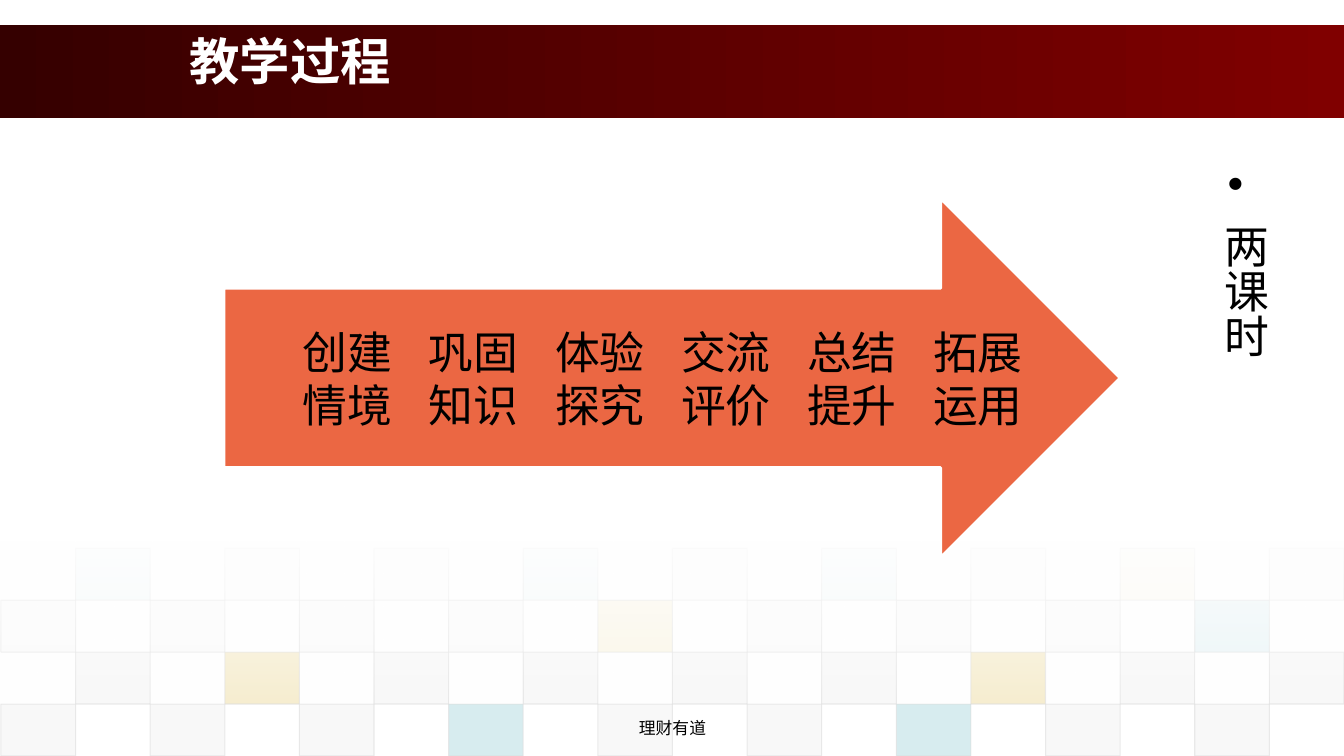
from lxml import etree
from pptx import Presentation
from pptx import util as u
from pptx.dml.color import RGBColor
from pptx.enum import shapes, text
from pptx.oxml.ns import qn

TITLE = "教学过程"
DURATION = "两课时"
FOOTER = "理财有道"
STEPS = ["创建情境", "巩固知识", "体验探究", "交流评价", "总结提升", "拓展运用"]

TILE_COLOURS = {"g": "DDDDDD", "l": "EAEAEA", "t": "38A3B2", "y": "D3A911"}
TILE_ROWS = [
    (1, "tlltgtlyl", 5),
    (0, "ggggygggt", 10),
    (1, "gyggggygg", 20),
    (0, "gggtggtgg", 20),
]
TILE_LEFT, TILE_TOP = 0.01, 5.44
TILE_WIDTH, TILE_HEIGHT = 0.74, 0.515
STEP_LEFT, STEP_PITCH = 2.93, 1.25


def colour(value):
    return RGBColor.from_string(value)


def set_alpha(element, percent):
    for node in element.iter(qn("a:srgbClr")):
        etree.SubElement(node, qn("a:alpha"), val=str(percent * 1000))


def add_shape(parent, kind, area):
    shape = parent.add_shape(kind, *[u.Inches(value) for value in area])
    shape.shadow.inherit = False
    return shape


def add_band(parent, area, colours, angle):
    band = add_shape(parent, shapes.MSO_SHAPE.RECTANGLE, area)
    band.line.fill.background()
    band.fill.gradient()
    band.fill.gradient_angle = angle
    for stop, position, value in zip(band.fill.gradient_stops, (0, 1), colours):
        stop.position = position
        stop.color.rgb = colour(value)
    return band


def add_text(parent, area, words, size, font="Calibri", fill="000000",
             bold=False, align=text.PP_ALIGN.LEFT):
    box = parent.add_textbox(*[u.Inches(value) for value in area])
    frame = box.text_frame
    frame.word_wrap = True
    para = frame.paragraphs[0]
    para.alignment = align
    span = para.add_run()
    span.text = words
    span.font.size = u.Pt(size)
    span.font.name = font
    span.font.bold = bold
    span.font.color.rgb = colour(fill)
    return frame


def add_tiles(parent):
    for row, (first, pattern, alpha) in enumerate(TILE_ROWS):
        for index, key in enumerate(pattern):
            left = TILE_LEFT + (first + 2 * index) * TILE_WIDTH
            top = TILE_TOP + row * TILE_HEIGHT
            tile = add_shape(parent, shapes.MSO_SHAPE.RECTANGLE,
                             (left, top, TILE_WIDTH, TILE_HEIGHT))
            tile.fill.solid()
            tile.fill.fore_color.rgb = colour(TILE_COLOURS[key])
            set_alpha(tile.fill._xPr.find(qn("a:solidFill")), alpha)
            tile.line.color.rgb = colour("DDDDDD")
            tile.line.width = u.Pt(0.75)
            set_alpha(tile.line._ln, 60)
    fade = add_band(parent, (0, 5.37, 13.33, 1.62), ("FFFFFF", "FFFFFF"), 270)
    for stop, alpha in zip(fade._element.iter(qn("a:gs")), (90, 0)):
        set_alpha(stop, alpha)


def add_process(parent):
    group = parent.add_group_shape().shapes
    arrow = add_shape(group, shapes.MSO_SHAPE.RIGHT_ARROW, (2.22, 1.97, 8.89, 3.56))
    arrow.fill.solid()
    arrow.fill.fore_color.rgb = colour("EB6743")
    arrow.line.color.rgb = colour("FFFFFF")
    arrow.line.width = u.Pt(2)
    for index, step in enumerate(STEPS):
        area = (STEP_LEFT + index * STEP_PITCH, 2.86, 1.04, 1.78)
        frame = add_text(group, area, step, 32, align=text.PP_ALIGN.CENTER)
        frame.vertical_anchor = text.MSO_ANCHOR.MIDDLE
        frame.margin_left = frame.margin_right = 0
        frame.margin_top = frame.margin_bottom = u.Inches(0.36)


def add_duration(parent):
    frame = add_text(parent, (0.67, 1.75, 12, 5.17), DURATION, 32)
    frame._txBody.bodyPr.set("vert", "eaVert")
    properties = frame.paragraphs[0]._p.get_or_add_pPr()
    properties.set("marL", str(u.Inches(0.38)))
    properties.set("indent", str(u.Inches(-0.38)))
    etree.SubElement(properties, qn("a:buFont"), typeface="Arial")
    etree.SubElement(properties, qn("a:buChar"), char="•")


def main():
    deck = Presentation()
    deck.slide_width = u.Inches(13.33)
    deck.slide_height = u.Inches(7.5)
    page = deck.slides.add_slide(deck.slide_layouts[6])
    add_band(page.shapes, (0, 0.25, 13.33, 0.92), ("350000", "800000"), 0)
    add_tiles(page.shapes)
    add_text(page.shapes, (1.78, 0.25, 10.78, 0.92), TITLE, 36, "Arial", "FFFFFF", True)
    add_duration(page.shapes)
    add_text(page.shapes, (4.56, 7.07, 4.22, 0.33), FOOTER, 12,
             align=text.PP_ALIGN.CENTER)
    add_process(page.shapes)
    deck.save("out.pptx")


if __name__ == "__main__":
    main()
